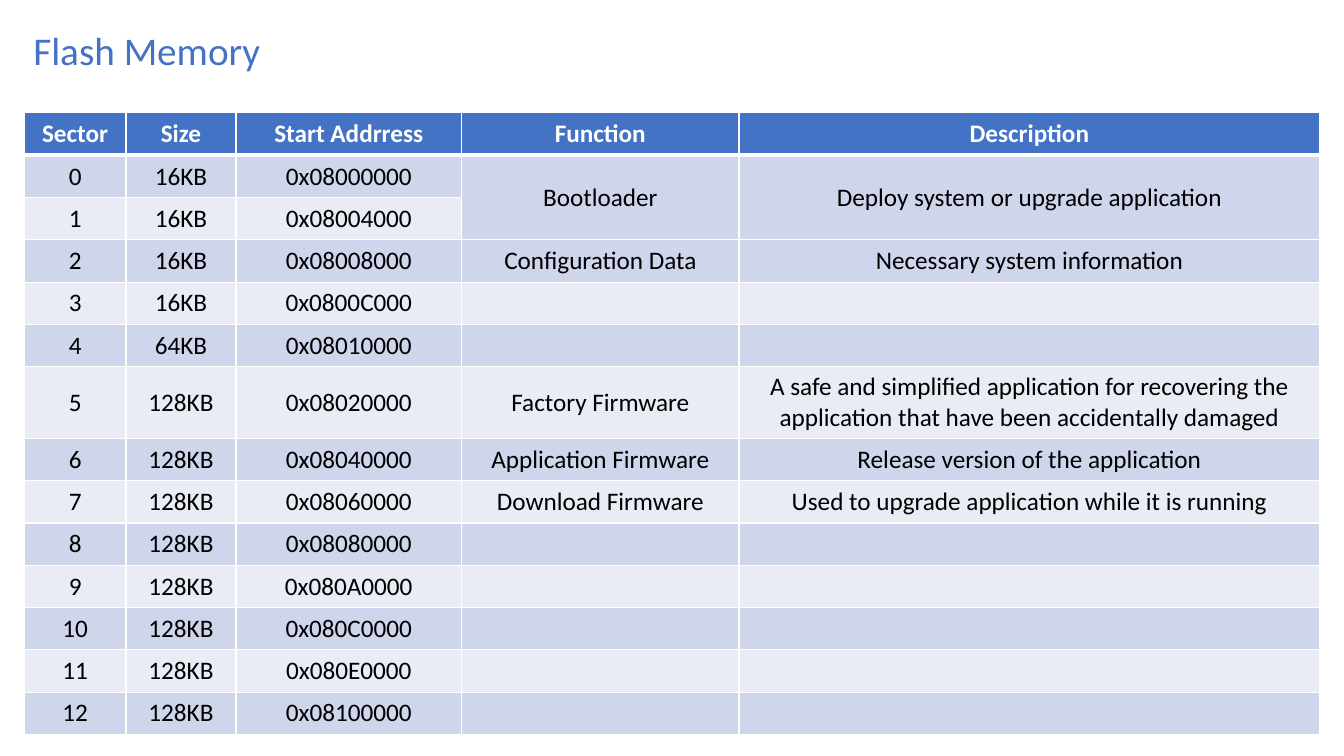
from lxml import etree
from pptx import Presentation
from pptx.dml.color import RGBColor
from pptx.enum.text import MSO_ANCHOR, MSO_AUTO_SIZE, PP_ALIGN
from pptx.oxml.ns import qn
from pptx.util import Inches, Pt

LEFT, CENTER = PP_ALIGN.LEFT, PP_ALIGN.CENTER
TOP, MIDDLE = MSO_ANCHOR.TOP, MSO_ANCHOR.MIDDLE
NO_AUTOFIT = MSO_AUTO_SIZE.NONE
TITLE_ONLY = 5

BLUE, WHITE, BLACK = "4472C4", "FFFFFF", "000000"
BANDS = ("CFD5EA", "E9EBF5")

HEADERS = ["Sector", "Size", "Start Addrress", "Function", "Description"]
COL_WIDTHS = [1.01, 1.09, 2.24, 2.75, 5.76]
ROW_HEIGHT = 0.42
FLASH_BASE = 0x08000000
SECTOR_SIZES_KB = [16] * 4 + [64] + [128] * 8
USES = {  # first sector: (function, description)
    0: ("Bootloader", "Deploy system or upgrade application"),
    2: ("Configuration Data", "Necessary system information"),
    5: ("Factory Firmware", "A safe and simplified application for recovering "
        "the application that have been accidentally damaged"),
    6: ("Application Firmware", "Release version of the application"),
    7: ("Download Firmware", "Used to upgrade application while it is running"),
}


def rgb(color):
    return RGBColor.from_string(color)


def write(tf, text, size=18, color=BLACK, bold=False, align=CENTER):
    p = tf.paragraphs[0]
    p.alignment = align
    p.font.size = Pt(size)
    if text:
        r = p.add_run()
        r.text = text
        r.font.name = "Calibri"
        r.font.size = Pt(size)
        r.font.bold = bold
        r.font.color.rgb = rgb(color)


def set_borders(cell, color=WHITE, **widths):
    """Set the four cell borders, 1 pt wide unless given by side (L, R, T, B)."""
    tcPr = cell._tc.get_or_add_tcPr()
    for i, side in enumerate("LRTB"):
        ln = etree.Element(qn("a:ln" + side), w=str(Pt(widths.get(side, 1))))
        fill = etree.SubElement(ln, qn("a:solidFill"))
        etree.SubElement(fill, qn("a:srgbClr"), val=color)
        tcPr.insert(i, ln)


def sector_rows():
    address = FLASH_BASE
    for sector, size in enumerate(SECTOR_SIZES_KB):
        yield [str(sector), f"{size}KB", f"0x{address:08X}",
               *USES.get(sector, ("", ""))]
        address += size * 1024


def add_title(s, text):
    title = s.shapes.title
    title.left, title.top = Inches(0.23), Inches(0.21)
    title.width, title.height = Inches(3.35), Inches(0.57)
    tf = title.text_frame
    tf.word_wrap = True
    tf.auto_size = NO_AUTOFIT
    tf.vertical_anchor = TOP
    write(tf, text, size=28, color=BLUE, align=LEFT)


def add_sector_table(s):
    rows = [HEADERS, *sector_rows()]
    frame = s.shapes.add_table(
        len(rows), len(HEADERS), Inches(0.24), Inches(1.12),
        Inches(sum(COL_WIDTHS)), Inches(ROW_HEIGHT * len(rows)))
    table = frame.table
    for column, width in zip(table.columns, COL_WIDTHS):
        column.width = Inches(width)

    for i, row in enumerate(rows):
        table.rows[i].height = Inches(ROW_HEIGHT)
        header = i == 0
        for j, text in enumerate(row):
            cell = table.cell(i, j)
            cell.vertical_anchor = MIDDLE
            cell.fill.solid()
            cell.fill.fore_color.rgb = rgb(BLUE if header else BANDS[(i - 1) % 2])
            set_borders(cell, T=3 if i == 1 else 1, B=3 if header else 1)
            write(cell.text_frame, text, color=WHITE if header else BLACK,
                  bold=header)

    # The bootloader takes sectors 0 and 1
    for j in (3, 4):
        table.cell(1, j).merge(table.cell(2, j))


def main():
    prs = Presentation()
    prs.slide_width, prs.slide_height = Inches(13.33), Inches(7.5)
    s = prs.slides.add_slide(prs.slide_layouts[TITLE_ONLY])
    add_title(s, "Flash Memory")
    add_sector_table(s)
    prs.save("out.pptx")


main()
